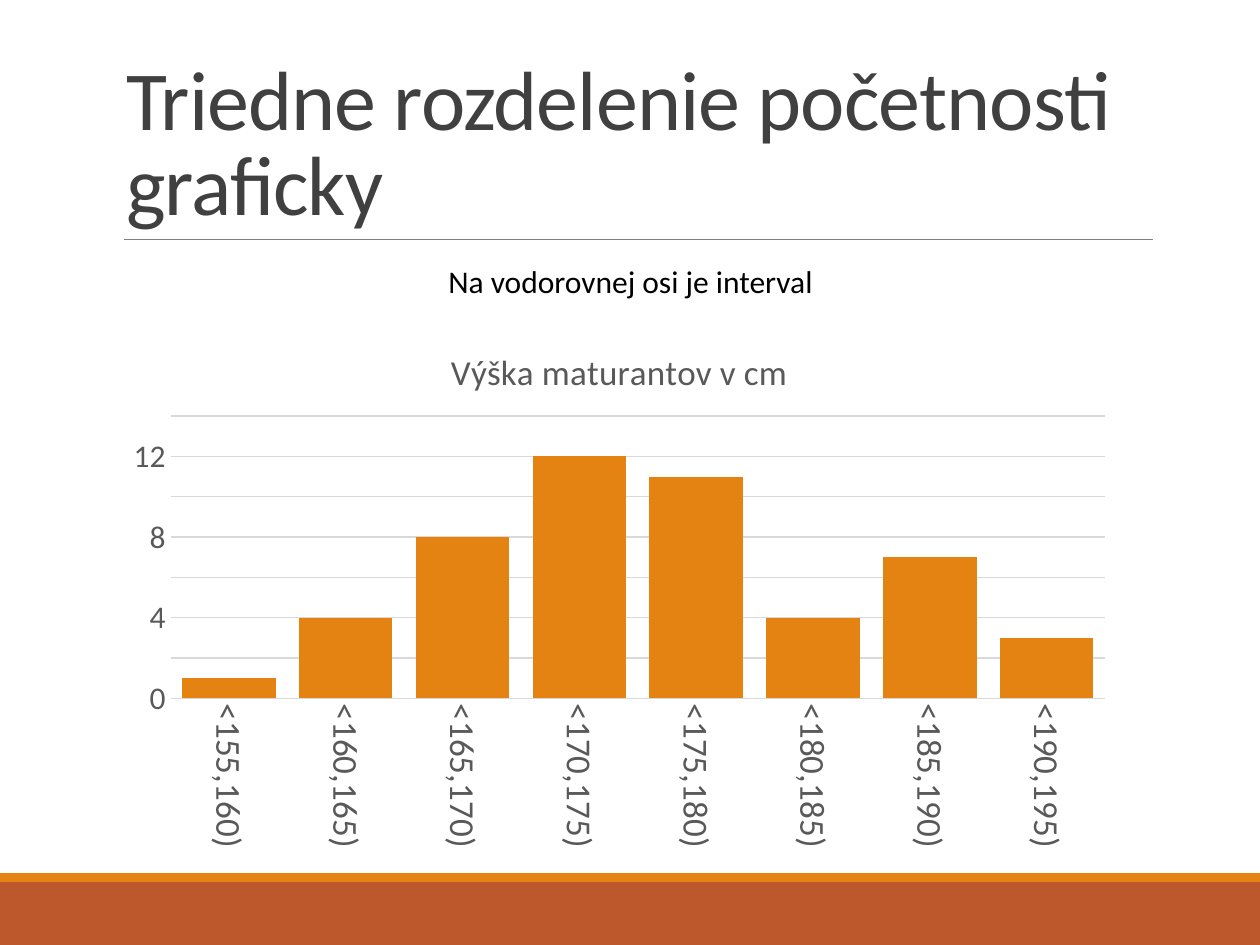
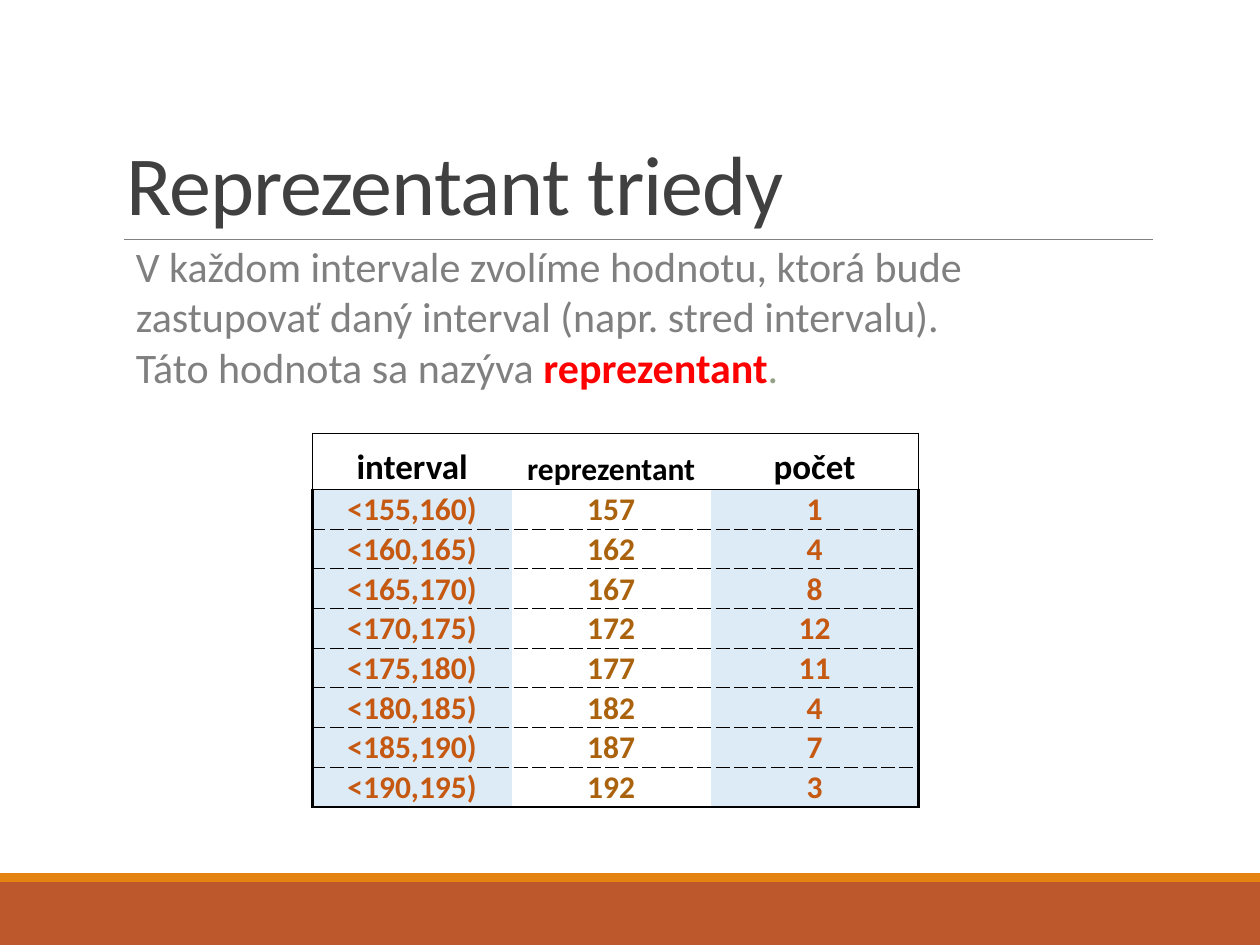
from lxml import etree
from pptx import Presentation
from pptx import util as u
from pptx.chart.data import CategoryChartData
from pptx.dml.color import RGBColor
from pptx.enum import chart as ch, shapes, text
from pptx.oxml.ns import qn

Pt = u.Pt
FONT = "Calibri"
C = {
    "band": "BD582C", "accent": "E48312", "rule": "808080", "title": "404040",
    "text": "000000", "body": "808080", "key": "FF0000", "stop": "94A088",
    "axis": "595959", "grid": "D9D9D9", "cell": "DDEBF7",
    "outer": "C65911", "middle": "AB620D",
}
NO_STYLE = "{2D5ABB26-0587-4C30-8999-92F81FD0307C}"
TITLE_BOX = (64.8, 22.3, 594, 114.5)

INTERVALS = [f"<{low},{low + 5})" for low in range(155, 195, 5)]
MIDPOINTS = range(157, 197, 5)
COUNTS = [1, 4, 8, 12, 11, 4, 7, 3]


def rgb(name):
    return RGBColor.from_string(C[name])


def pts(box):
    return [Pt(v) for v in box]


def style(font, size, color="text", bold=False):
    font.name, font.size, font.bold = FONT, Pt(size), bold
    font.color.rgb = rgb(color)


def add_text(p, content, size=18, color="text", bold=False, spacing=None):
    r = p.add_run()
    r.text = content
    style(r.font, size, color, bold)
    if spacing is not None:
        r._r.get_or_add_rPr().set("spc", str(round(spacing * 100)))


# Shared layout: bands, rule and title position
def add_band(s, box, color):
    sp = s.shapes.add_shape(shapes.MSO_SHAPE.RECTANGLE, *pts(box))
    sp.shadow.inherit = False
    sp.fill.solid()
    sp.fill.fore_color.rgb = rgb(color)
    sp.line.fill.background()
    return sp


def add_rule(s, x1, x2, y):
    ln = s.shapes.add_connector(shapes.MSO_CONNECTOR.STRAIGHT, *pts((x1, y, x2, y)))
    ln.line.color.rgb = rgb("rule")
    ln.line.width = Pt(0.5)
    etree.SubElement(ln.element.spPr, qn("a:effectLst"))
    return ln


def furnish_layout(s):
    layout = s.slide_layout
    for ph in list(layout.placeholders):
        if ph.placeholder_format.type == shapes.PP_PLACEHOLDER.TITLE:
            ph.left, ph.top, ph.width, ph.height = pts(TITLE_BOX)
        else:
            ph.element.getparent().remove(ph.element)
    parts = [add_band(s, (0, 504, 720, 36), "band"),
             add_band(s, (0, 499, 720, 5), "accent"),
             add_rule(s, 70.6, 658.8, 136.8)]
    for i, part in enumerate(parts, 2):
        layout.shapes.element.insert(i, part.element)


def set_title(s, content):
    tf = s.shapes.title.text_frame
    tf.auto_size = text.MSO_AUTO_SIZE.NONE
    tf.vertical_anchor = text.MSO_ANCHOR.BOTTOM
    p = tf.paragraphs[0]
    p.alignment = text.PP_ALIGN.LEFT
    p.line_spacing = 0.85
    add_text(p, content, size=48, color="title", spacing=-0.5)


def add_paragraphs(s, box, paragraphs, wrap=True):
    tf = s.shapes.add_textbox(*pts(box)).text_frame
    tf.word_wrap = wrap
    for i, runs in enumerate(paragraphs):
        p = tf.paragraphs[0] if i == 0 else tf.add_paragraph()
        for content, fmt in runs:
            add_text(p, content, **fmt)


# Column chart of class frequencies
def add_frequency_chart(s, box):
    data = CategoryChartData()
    data.categories = INTERVALS
    data.add_series("Series 1", COUNTS)
    chart = s.shapes.add_chart(ch.XL_CHART_TYPE.COLUMN_CLUSTERED, *pts(box), data).chart
    style(chart.font, 10)
    chart.has_legend = False
    chart.has_title = True
    add_text(chart.chart_title.text_frame.paragraphs[0], "Výška maturantov v cm",
             size=20, color="axis")
    chart.chart_title.include_in_layout = False

    plot = chart.plots[0]
    plot.gap_width, plot.overlap, plot.vary_by_categories = 25, -27, False
    fill = plot.series[0].format.fill
    fill.solid()
    fill.fore_color.rgb = rgb("accent")

    cats, vals = chart.category_axis, chart.value_axis
    for axis, size in ((cats, 20), (vals, 18)):
        axis.major_tick_mark = axis.minor_tick_mark = ch.XL_TICK_MARK.NONE
        style(axis.tick_labels.font, size, "axis")
    body = cats._element.find(qn("c:txPr")).find(qn("a:bodyPr"))
    body.set("rot", "5400000")
    body.set("vert", "horz")
    vals.minimum_scale, vals.maximum_scale, vals.major_unit = 0, 14, 2
    vals.format.line.fill.background()
    for line in (cats.format.line, vals.major_gridlines.format.line):
        line.color.rgb = rgb("grid")
        line.width = Pt(0.75)


# Table of classes and their representatives
def add_border(cell, side, width, dash="solid"):
    ln = etree.SubElement(cell._tc.get_or_add_tcPr(), qn(f"a:ln{side}"),
                          w=str(int(Pt(width))))
    fill = etree.SubElement(ln, qn("a:solidFill"))
    etree.SubElement(fill, qn("a:srgbClr"), val=C["text"])
    etree.SubElement(ln, qn("a:prstDash"), val=dash)


def format_cell(cell, row, col, last_row, last_col):
    head = row == 0
    edge = 1 if head else 1.5
    if col == 0:
        add_border(cell, "L", edge)
    if col == last_col:
        add_border(cell, "R", edge)
    add_border(cell, "T", *((1,) if row <= 1 else (0.5, "dash")))
    add_border(cell, "B", *((edge,) if row in (0, last_row) else (0.5, "dash")))
    if not head and col in (0, last_col):
        cell.fill.solid()
        cell.fill.fore_color.rgb = rgb("cell")
    else:
        cell.fill.background()
    cell.margin_left = cell.margin_right = cell.margin_top = Pt(0.7)
    cell.margin_bottom = 0
    cell.vertical_anchor = text.MSO_ANCHOR.BOTTOM


def add_class_table(s, left, top):
    widths = [113.8, 5, 103.7, 5, 118.8]
    heights = [32] + [22.7] * len(INTERVALS)
    rows = [("interval", "reprezentant", "počet"), *zip(INTERVALS, MIDPOINTS, COUNTS)]
    box = (left, top, sum(widths), sum(heights))
    table = s.shapes.add_table(len(rows), len(widths), *pts(box)).table
    table.first_row = table.horz_banding = False
    table._tbl.tblPr.find(qn("a:tableStyleId")).text = NO_STYLE
    for column, width in zip(table.columns, widths):
        column.width = Pt(width)
    for i, (values, height) in enumerate(zip(rows, heights)):
        table.rows[i].height = Pt(height)
        for j in range(len(widths)):
            cell = table.cell(i, j)
            format_cell(cell, i, j, len(rows) - 1, len(widths) - 1)
            if j % 2:  # narrow spacer column
                continue
            p = cell.text_frame.paragraphs[0]
            p.alignment = text.PP_ALIGN.CENTER
            middle = j == 2
            color = "text" if i == 0 else "middle" if middle else "outer"
            size = 20 if i == 0 and not middle else 18
            add_text(p, str(values[j // 2]), size=size, color=color, bold=True)


def build_chart_slide(s):
    set_title(s, "Triedne rozdelenie početnosti graficky")
    add_frequency_chart(s, (64.8, 185, 578.2, 306))
    add_paragraphs(s, (249.1, 146.2, 225.4, 29),
                   [[("Na vodorovnej osi je interval", {})]], wrap=False)


def build_table_slide(s):
    set_title(s, "Reprezentant triedy")
    add_class_table(s, 178.6, 247.7)
    plain = {"size": 24, "color": "body"}
    add_paragraphs(s, (70.6, 133.9, 595.4, 123.8), [
        [("V každom intervale zvolíme hodnotu, ktorá bude zastupovať daný interval "
          "(napr. stred intervalu).", plain)],
        [("Táto hodnota sa nazýva ", plain),
         ("reprezentant", {"size": 24, "color": "key", "bold": True}),
         (".", {"size": 24, "color": "stop"})],
    ])


def main():
    prs = Presentation()
    prs.slide_width, prs.slide_height = Pt(720), Pt(540)
    layout = prs.slide_layouts[5]
    for i, build in enumerate((build_chart_slide, build_table_slide)):
        s = prs.slides.add_slide(layout)
        if i == 0:
            furnish_layout(s)
        build(s)
    prs.save("out.pptx")


if __name__ == "__main__":
    main()
